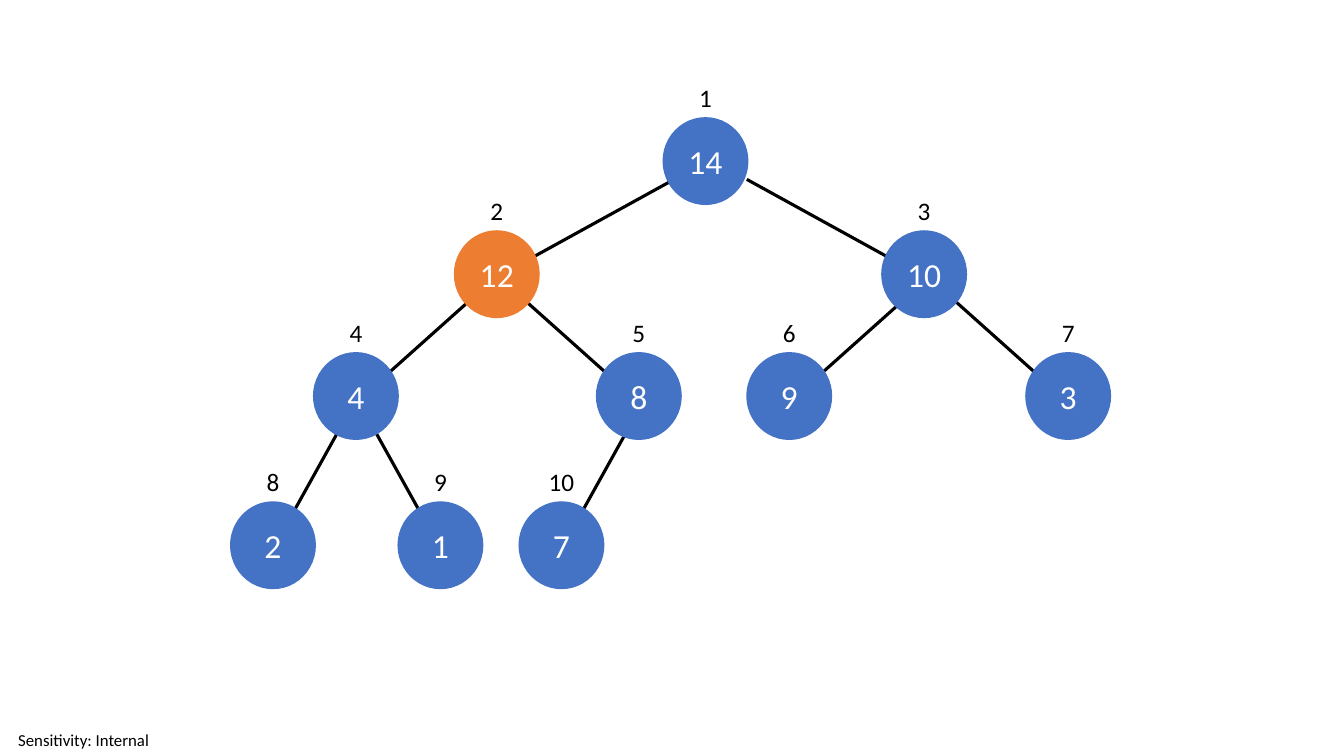
from pptx import Presentation
from pptx import util as u
from pptx.dml import color
from pptx.enum import shapes, text
from pptx.oxml import ns
from lxml import etree

COLORS = {"node": "4472C4", "active": "ED7D31", "ink": "000000", "paper": "FFFFFF"}
NODE_W, NODE_H, LABEL_H = 2.13, 2.18, 1.02
VALUES = [14, 12, 10, 4, 8, 9, 3, 2, 1, 7]
CENTERS = [17.78, 12.52, 23.29, 8.97, 16.1, 19.89, 26.92, 6.88, 11.1, 14.15]
LEVEL_TOPS = [2.97, 5.82, 8.89, 12.65]
EDGES = {1: (0.91, 0.66, 3.56, 1.96), 2: (0.71, 0.61, 2.16, 1.93), 3: (0.45, 0.37, 1.3, 2.34)}
ACTIVE_INDEX = 2


def rgb(name):
    """Return the named colour."""
    return color.RGBColor.from_string(COLORS[name])


def write(sp, content, size, ink, align):
    """Set the text of a shape and format its run."""
    tf = sp.text_frame
    tf.text = content
    p = tf.paragraphs[0]
    p.alignment = align
    r = p.runs[0]
    r.font.name = "Calibri"
    r.font.size = u.Pt(size)
    r.font.color.rgb = rgb(ink)
    return tf


def add_edge(slide, level, index, x, y):
    """Draw the line from a child node up towards its parent."""
    dx, dy, run, rise = EDGES[level]
    side = 1 if index % 2 == 0 else -1
    x, y = x + side * dx, y + dy
    line = slide.shapes.add_connector(
        shapes.MSO_CONNECTOR.STRAIGHT, u.Cm(x + side * run), u.Cm(y - rise), u.Cm(x), u.Cm(y))
    line.line.color.rgb = rgb("ink")
    line.line.width = u.Pt(2.25)
    etree.SubElement(line._element.spPr, ns.qn("a:effectLst"))


def add_node(slide, index, value, x, y):
    """Draw a node circle with its array index above it."""
    fill = "active" if index == ACTIVE_INDEX else "node"
    sp = slide.shapes.add_shape(
        shapes.MSO_SHAPE.OVAL, u.Cm(x - NODE_W / 2), u.Cm(y), u.Cm(NODE_W), u.Cm(NODE_H))
    sp.shadow.inherit = False
    sp.fill.solid()
    sp.fill.fore_color.rgb = rgb(fill)
    sp.line.color.rgb = rgb(fill)
    sp.line.width = u.Pt(1)
    tf = write(sp, str(value), 24, "paper", text.PP_ALIGN.CENTER)
    tf.vertical_anchor = text.MSO_ANCHOR.MIDDLE

    width = 0.51 + 0.33 * len(str(index))
    label = slide.shapes.add_textbox(
        u.Cm(x - width / 2), u.Cm(y - LABEL_H), u.Cm(width), u.Cm(LABEL_H))
    write(label, str(index), 18, "ink", text.PP_ALIGN.CENTER).word_wrap = False


def add_heap(slide, left, top):
    """Draw the heap as a binary tree offset by the given corner."""
    nodes = []
    for index, (value, center) in enumerate(zip(VALUES, CENTERS), 1):
        level = index.bit_length() - 1
        nodes.append((level, index, value, left + center, top + LEVEL_TOPS[level]))
    for level, index, value, x, y in nodes[1:]:
        add_edge(slide, level, index, x, y)
    for level, index, value, x, y in nodes:
        add_node(slide, index, value, x, y)


def add_footer(slide, left, top, width, height):
    """Write the sensitivity note in the given box."""
    sp = slide.shapes.add_textbox(u.Cm(left), u.Cm(top), u.Cm(width), u.Cm(height))
    tf = write(sp, "Sensitivity: Internal", 12, "ink", text.PP_ALIGN.LEFT)
    tf.word_wrap = True
    tf.vertical_anchor = text.MSO_ANCHOR.MIDDLE
    tf.margin_left = u.Cm(0.46)
    tf.margin_top = tf.margin_right = tf.margin_bottom = 0


def main():
    """Build and save the presentation."""
    prs = Presentation()
    prs.slide_width, prs.slide_height = u.Cm(33.87), u.Cm(19.05)
    slide = prs.slides.add_slide(prs.slide_layouts[6])
    add_footer(slide, 0, 18.24, 4.22, 0.81)
    add_heap(slide, 0, 0)
    prs.save("out.pptx")


if __name__ == "__main__":
    main()
